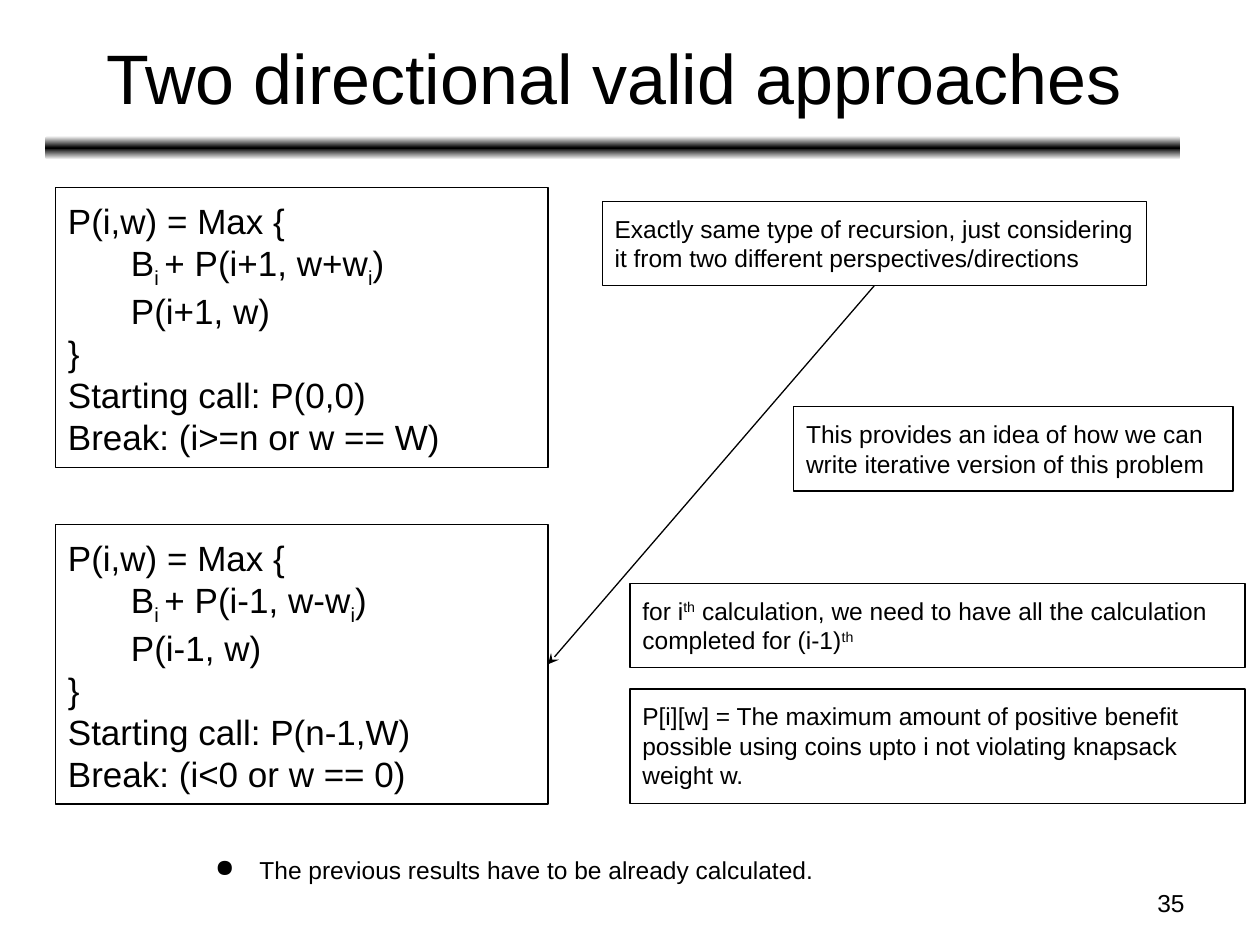
from copy import deepcopy
from dataclasses import dataclass

from lxml.etree import SubElement
from pptx import Presentation
from pptx.dml.color import RGBColor
from pptx.enum.shapes import MSO_CONNECTOR as Link, MSO_SHAPE as Preset
from pptx.enum.text import MSO_ANCHOR as Anchor, MSO_AUTO_SIZE as Fit, PP_ALIGN as Align
from pptx.oxml.ns import qn
from pptx.util import Cm, Pt


@dataclass(frozen=True)
class Theme:
    font: str = "Arial"
    ink: RGBColor = RGBColor(0, 0, 0)
    paper: RGBColor = RGBColor(255, 255, 255)
    title: int = 40
    code: int = 20
    note: int = 14
    line: float = 0.75
    sub: int = -25000
    sup: int = 30000


class SlideBuilder:
    def __init__(self, slide, theme):
        self.slide, self.theme = slide, theme

    def add_lines(self, shape, lines, size, align=Align.LEFT, pad=0.25):
        """Fill a shape; a line is a list of (text, baseline) runs."""
        frame = shape.text_frame
        frame.word_wrap = True
        frame.margin_left = frame.margin_right = Cm(0.25)
        frame.margin_top = frame.margin_bottom = Cm(pad)
        frame.vertical_anchor = Anchor.TOP
        for number, line in enumerate(lines):
            paragraph = frame.add_paragraph() if number else frame.paragraphs[0]
            paragraph.alignment = align
            for text, baseline in line:
                run = paragraph.add_run()
                run.text = text
                run.font.name, run.font.size = self.theme.font, Pt(size)
                run.font.color.rgb = self.theme.ink
                if baseline:
                    run._r.get_or_add_rPr().set("baseline", str(baseline))
        return frame

    def label(self, box, text, size, align=Align.LEFT, pad=0.13):
        shape = self.slide.shapes.add_textbox(*map(Cm, box))
        return self.add_lines(shape, [[(text, 0)]], size, align, pad)

    def bullet(self, box, text):
        paragraph = self.label(box, text, self.theme.note, pad=0.25).paragraphs[0]
        props = paragraph._p.get_or_add_pPr()
        props.set("marL", str(Cm(1.27)))
        props.set("indent", str(-Cm(0.89)))
        color = SubElement(props, qn("a:buClr"))
        SubElement(color, qn("a:srgbClr"), val=str(self.theme.ink))
        SubElement(props, qn("a:buChar"), char="●")

    def framed(self, box, lines, size):
        shape = self.slide.shapes.add_shape(Preset.RECTANGLE, *map(Cm, box))
        shape.shadow.inherit = False
        shape.fill.background()
        shape.line.color.rgb = self.theme.ink
        shape.line.width = Pt(self.theme.line)
        self.add_lines(shape, lines, size).auto_size = Fit.SHAPE_TO_FIT_TEXT
        return shape

    def note(self, box, *runs):
        return self.framed(box, [runs], self.theme.note)

    def recursion(self, box, sign, start, stop):
        sub = self.theme.sub
        lines = [
            [("P(i,w) = Max {", 0)],
            [("\tB", 0), ("i ", sub), (f"+ P(i{sign}1, w{sign}w", 0), ("i", sub), (")", 0)],
            [(f"\tP(i{sign}1, w)", 0)],
            [("}", 0)],
            [(f"Starting call: {start}", 0)],
            [(f"Break: ({stop})", 0)],
        ]
        return self.framed(box, lines, self.theme.code)

    def rule(self, box):
        bar = self.slide.shapes.add_shape(Preset.ROUNDED_RECTANGLE, *map(Cm, box))
        bar.shadow.inherit = False
        bar.line.fill.background()
        bar.fill.gradient()
        bar.fill.gradient_angle = 90
        # A third stop makes the band dark in the middle
        first = bar._element.spPr.find(".//" + qn("a:gs"))
        middle = deepcopy(first)
        middle.set("pos", "50000")
        first.addnext(middle)
        colors = (self.theme.paper, self.theme.ink, self.theme.paper)
        for stop, color in zip(bar.fill.gradient_stops, colors):
            stop.color.rgb = color

    def arrow(self, source, source_side, target, target_side):
        arrow = self.slide.shapes.add_connector(Link.STRAIGHT, 0, 0, 0, 0)
        arrow.begin_connect(source, source_side)
        arrow.end_connect(target, target_side)
        arrow.line.color.rgb = self.theme.ink
        arrow.line.width = Pt(self.theme.line)
        props = arrow._element.spPr
        SubElement(props.find(qn("a:ln")), qn("a:tailEnd"), type="stealth")
        SubElement(props, qn("a:effectLst"))


def main():
    deck = Presentation()
    deck.slide_width, deck.slide_height = Cm(25.4), Cm(19.05)
    theme = Theme()
    page = SlideBuilder(deck.slides.add_slide(deck.slide_layouts[6]), theme)

    # Heading and page number
    page.rule((0.91, 2.74, 22.89, 0.48))
    heading = page.label((0.94, 0.28, 22.86, 2.51), "Two directional valid approaches",
                         theme.title, Align.CENTER)
    heading.vertical_anchor = Anchor.MIDDLE
    page.label((18.21, 17.78, 5.92, 0.89), "35", theme.note, Align.RIGHT)

    # The two recursions
    left, width, height = 1.12, 9.93, 5.64
    page.recursion((left, 3.78, width, height), "+", "P(0,0)", "i>=n or w == W")
    backward = page.recursion((left, 10.57, width, height), "-", "P(n-1,W)", "i<0 or w == 0")

    # Remarks on the right
    same_type = page.note(
        (12.14, 4.06, 10.97, 1.7),
        ("Exactly same type of recursion, just considering it from two "
         "different perspectives/directions", 0))
    page.arrow(same_type, 2, backward, 3)
    page.note(
        (16, 8.2, 8.86, 1.7),
        ("This provides an idea of how we can write iterative version of this problem", 0))
    page.note(
        (12.7, 11.76, 12.4, 1.7),
        ("for i", 0), ("th", theme.sup),
        (" calculation, we need to have all the calculation completed for (i-1)", 0),
        ("th", theme.sup))
    page.note(
        (12.7, 13.89, 12.4, 2.31),
        ("P[i][w] = The maximum amount of positive benefit possible using coins "
         "upto i not violating knapsack weight w.", 0))

    # Conclusion
    page.bullet((3.71, 16.99, 13.59, 1.12),
                "The previous results have to be already calculated.")
    deck.save("out.pptx")


if __name__ == "__main__":
    main()
